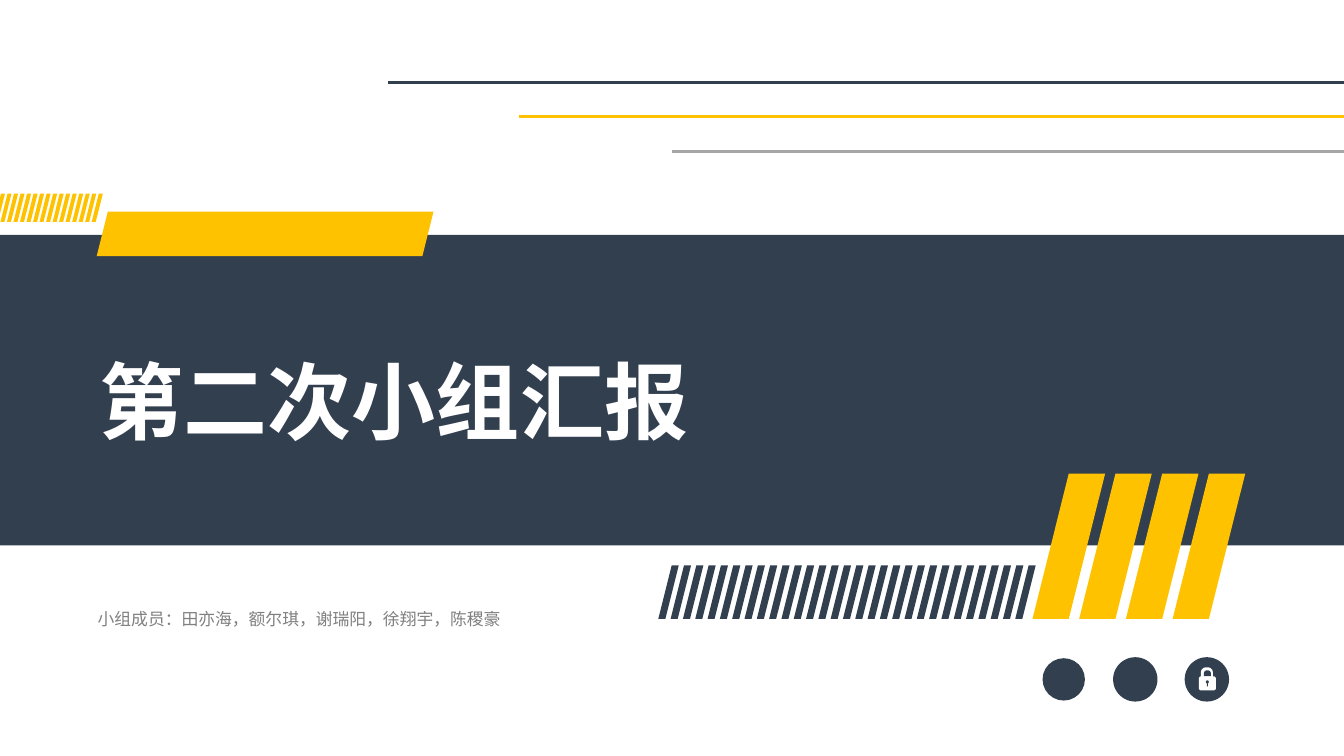
import pptx
import pptx.util
import pptx.dml.color
import pptx.enum.shapes
import pptx.enum.text
from lxml import etree

Inches = pptx.util.Inches
Pt = pptx.util.Pt
KIND = pptx.enum.shapes.MSO_SHAPE
ALIGN = pptx.enum.text.PP_ALIGN
NS = "http://schemas.openxmlformats.org/drawingml/2006/main"
FONT = "Noto Sans CJK SC"
NAVY, GOLD, GRAY, WHITE = "323F4F", "FFC200", "A6A6A6", "FFFFFF"


def color(code):
    return pptx.dml.color.RGBColor.from_string(code)


def paint(shape, code):
    shape.shadow.inherit = False
    shape.fill.solid()
    shape.fill.fore_color.rgb = color(code)
    shape.line.fill.background()


def block(slide, kind, left, top, width, height, code):
    shape = slide.shapes.add_shape(
        kind, Inches(left), Inches(top), Inches(width), Inches(height))
    paint(shape, code)
    return shape


def rule(slide, left, top, code):
    line = slide.shapes.add_connector(
        pptx.enum.shapes.MSO_CONNECTOR.STRAIGHT,
        Inches(left), Inches(top), Inches(13.33), Inches(top))
    line.line.color.rgb = color(code)
    line.line.width = Pt(2.25)
    etree.SubElement(line.element.spPr, f"{{{NS}}}effectLst")


def stripes(shapes, first, last, count, top, width, height, code):
    """Evenly spaced bars that lean right by a quarter of their height."""
    step = (last - first) / (count - 1)
    lean = height / 4
    for i in range(count):
        left = first + i * step
        points = [(left + lean, top), (left + lean + width, top),
                  (left + width, top + height), (left, top + height)]
        points = [(Inches(x), Inches(y)) for x, y in points]
        pen = shapes.build_freeform(*points[0])
        pen.add_line_segments(points[1:], close=True)
        paint(pen.convert_to_shape(), code)


def write(box, left, top, width, height, text, size, code, bold, align):
    box.left, box.top = Inches(left), Inches(top)
    box.width, box.height = Inches(width), Inches(height)
    frame = box.text_frame
    frame.word_wrap = True
    frame.auto_size = pptx.enum.text.MSO_AUTO_SIZE.SHAPE_TO_FIT_TEXT
    frame.vertical_anchor = pptx.enum.text.MSO_ANCHOR.TOP
    para = frame.paragraphs[0]
    para.alignment = align
    para.line_spacing = 1.2
    para.space_before = Pt(0)
    run = para.add_run()
    run.text = text
    run.font.name = FONT
    run.font.size = Pt(size)
    run.font.bold = bold
    run.font.color.rgb = color(code)
    # East Asian typeface
    east = etree.SubElement(run._r.get_or_add_rPr(), f"{{{NS}}}ea")
    east.set("typeface", FONT)


def padlock(slide):
    arch = KIND.ROUND_2_SAME_RECTANGLE
    for left, top, width, height, code in [
            (11.91, 6.62, 0.12, 0.1, WHITE), (11.94, 6.65, 0.07, 0.06, NAVY)]:
        block(slide, arch, left, top, width, height, code).adjustments[0] = 0.5
    block(slide, KIND.ROUNDED_RECTANGLE, 11.89, 6.71, 0.17, 0.14, WHITE)
    block(slide, KIND.OVAL, 11.96, 6.75, 0.03, 0.03, NAVY)
    block(slide, KIND.RECTANGLE, 11.97, 6.77, 0.01, 0.04, NAVY)


def main():
    deck = pptx.Presentation()
    deck.slide_width, deck.slide_height = Inches(13.33), Inches(7.5)
    slide = deck.slides.add_slide(deck.slide_layouts[5])

    # Band, rules and tab
    block(slide, KIND.RECTANGLE, 0, 2.33, 13.33, 3.08, NAVY)
    for left, top, code in [
            (3.85, 0.82, NAVY), (5.15, 1.16, GOLD), (6.67, 1.5, GRAY)]:
        rule(slide, left, top, code)
    block(slide, KIND.PARALLELOGRAM, 0.96, 2.1, 3.34, 0.44, GOLD)

    # Slanted stripes
    stripes(slide.shapes, 10.24, 11.63, 4, 4.7, 0.36, 1.44, GOLD)
    stripes(slide.shapes, 6.53, 10.07, 30, 5.61, 0.07, 0.53, NAVY)
    group = slide.shapes.add_group_shape()
    stripes(group.shapes, -0.06, 0.91, 16, 1.92, 0.04, 0.28, GOLD)

    # Title, brought in front of the band
    title = slide.shapes.title
    title.element.getparent().append(title.element)
    write(title, 0.89, 3.22, 10.29, 1.31, "第二次小组汇报",
          60, WHITE, True, ALIGN.JUSTIFY)

    # Round badges
    for left, top, size in [
            (10.34, 6.53, 0.42), (11.04, 6.52, 0.44), (11.75, 6.52, 0.44)]:
        block(slide, KIND.OVAL, left, top, size, size, NAVY)
    padlock(slide)

    # Group members
    names = slide.shapes.add_textbox(0, 0, 0, 0)
    write(names, 0.87, 5.95, 5.18, 0.34,
          "小组成员：田亦海，额尔琪，谢瑞阳，徐翔宇，陈稷豪",
          12, "808080", False, ALIGN.LEFT)

    deck.save("out.pptx")


if __name__ == "__main__":
    main()
